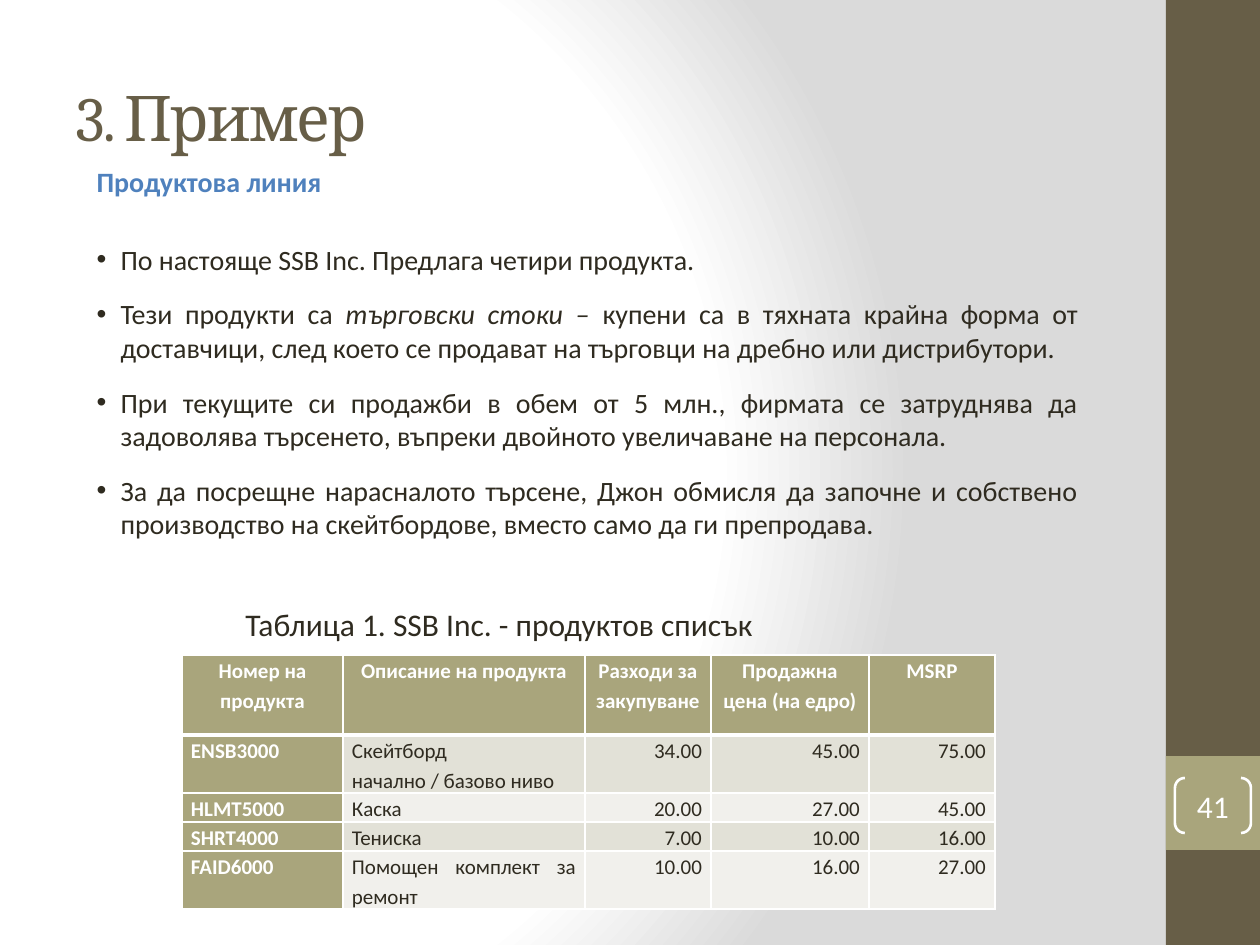
from dataclasses import dataclass

from pptx import Presentation
from pptx import util as u
from pptx.dml.color import RGBColor
from pptx.enum import shapes, text
from pptx.oxml import parse_xml
from pptx.oxml.ns import nsdecls, qn

PX = u.Inches(1) // 126  # one px in EMU


@dataclass(frozen=True)
class Theme:
    heading_font: str = "Cambria"
    body_font: str = "Calibri"
    brown: str = "675E47"
    olive: str = "A9A57C"
    ink: str = "2F2B20"
    accent: str = "4F81BD"
    white: str = "FFFFFF"
    shade: str = "DADADA"
    bands: tuple = ("E2E1D7", "F1F0EC")
    title_size: int = 36
    caption_size: int = 18
    body_size: int = 16
    table_size: int = 12


THEME = Theme()
ALIGN = text.PP_ALIGN

# Each bullet is a list of (text, italic) spans
BULLETS = [
    [("По настояще SSB Inc. Предлага четири продукта.", False)],
    [("Тези продукти са ", False), ("търговски стоки – ", True),
     ("купени са в тяхната крайна форма от доставчици, след което се "
      "продават на търговци на дребно или дистрибутори.", False)],
    [("При текущите си продажби в обем от 5 млн., фирмата се затруднява да "
      "задоволява търсенето, въпреки двойното увеличаване на персонала.", False)],
    [("За да посрещне нарасналото търсене, Джон обмисля да започне и собствено "
      "производство на скейтбордове, вместо само да ги препродава.", False)],
]
PRODUCTS = [
    ["Номер на продукта", "Описание на продукта", "Разходи за закупуване",
     "Продажна цена (на едро)", "MSRP"],
    ["ENSB3000", "Скейтборд\nначално / базово ниво", "34.00", "45.00", "75.00"],
    ["HLMT5000", "Каска", "20.00", "27.00", "45.00"],
    ["SHRT4000", "Тениска", "7.00", "10.00", "16.00"],
    ["FAID6000", "Помощен комплект за ремонт", "10.00", "16.00", "27.00"],
]
COLUMN_WIDTHS = [161, 242, 126, 158, 126]
ROW_HEIGHTS = [80, 58, 29, 29, 58]


def rgb(value):
    return RGBColor.from_string(value)


def px(*lengths):
    return [length * PX for length in lengths]


def assign(target, values):
    for name, value in values.items():
        setattr(target, name, value)


def place(shape, left, top, width, height):
    assign(shape, dict(zip(("left", "top", "width", "height"),
                           px(left, top, width, height))))


def add_span(para, words, size, color, **font):
    span = para.add_run()
    span.text = words
    assign(span.font, {"name": THEME.body_font, "size": u.Pt(size), **font})
    span.font.color.rgb = rgb(color)
    return span


def set_bullet(para, char=None, indent=0):
    properties = para._p.get_or_add_pPr()
    properties.set("marL", str(indent * PX))
    properties.set("indent", str(-indent * PX))
    mark = f'buChar {nsdecls("a")} char="{char}"' if char else f'buNone {nsdecls("a")}'
    properties.append(parse_xml(f"<a:{mark}/>"))


def set_background(page):
    page.background.fill.gradient()
    old = page.element.find(".//" + qn("a:gradFill"))
    stops = "".join(
        f'<a:gs pos="{percent * 1000}"><a:srgbClr val="{color}"/></a:gs>'
        for percent, color in ((0, THEME.white), (75, THEME.white), (100, THEME.shade)))
    old.getparent().replace(old, parse_xml(
        f'<a:gradFill {nsdecls("a")} rotWithShape="1"><a:gsLst>{stops}</a:gsLst>'
        '<a:path path="circle"><a:fillToRect l="20000" t="50000" r="100000" '
        'b="50000"/></a:path></a:gradFill>'))


def add_panel(page, bounds, color):
    panel = page.shapes.add_shape(shapes.MSO_SHAPE.RECTANGLE, *px(*bounds))
    panel.shadow.inherit = False
    panel.fill.solid()
    panel.fill.fore_color.rgb = rgb(color)
    panel.line.fill.background()


def add_page_number(page, number):
    bracket = page.shapes.add_shape(shapes.MSO_SHAPE.DOUBLE_BRACKET,
                                    *px(1175, 778, 76, 55))
    bracket.shadow.inherit = False
    bracket.adjustments[0] = 0.18
    bracket.fill.background()
    bracket.line.color.rgb = rgb(THEME.white)
    bracket.line.width = u.Pt(1.5)
    frame = bracket.text_frame
    assign(frame, {"margin_left": 0, "margin_right": 0, "margin_top": 0,
                   "margin_bottom": 0, "vertical_anchor": text.MSO_ANCHOR.MIDDLE})
    para = frame.paragraphs[0]
    para.alignment = ALIGN.CENTER
    add_span(para, number, THEME.caption_size, THEME.white)


def fill_title(title, words):
    place(title, 63, 38, 1050, 157)
    assign(title.text_frame, {"vertical_anchor": text.MSO_ANCHOR.MIDDLE,
                              "auto_size": text.MSO_AUTO_SIZE.NONE})
    para = title.text_frame.paragraphs[0]
    para.alignment = ALIGN.LEFT
    span = add_span(para, words, THEME.title_size, THEME.brown,
                    name=THEME.heading_font)
    span.font._element.set("spc", "-100")


def fill_body(body, heading, bullets):
    place(body, 84, 145, 1007, 480)
    frame = body.text_frame
    assign(frame, {"vertical_anchor": text.MSO_ANCHOR.TOP, "margin_top": 20 * PX,
                   "margin_bottom": 0, "auto_size": text.MSO_AUTO_SIZE.NONE})
    para = frame.paragraphs[0]
    set_bullet(para)
    assign(para, {"alignment": ALIGN.JUSTIFY, "space_before": u.Pt(0)})
    add_span(para, heading, THEME.body_size, THEME.accent, bold=True)
    for index, spans in enumerate(bullets):
        para = frame.add_paragraph()
        set_bullet(para, "•", 24)
        assign(para, {"alignment": ALIGN.JUSTIFY, "space_after": u.Pt(6),
                      "space_before": u.Pt(6 if index else 25)})
        for words, italic in spans:
            add_span(para, words, THEME.body_size, THEME.ink, italic=italic)


def add_caption(page, words):
    box = page.shapes.add_textbox(*px(233, 599, 774, 50))
    box.text_frame.word_wrap = True
    add_span(box.text_frame.paragraphs[0], words, THEME.caption_size, THEME.ink)


def set_borders(cell, bottom):
    properties = cell._tc.get_or_add_tcPr()
    for side, points in (("L", 1), ("R", 1), ("T", 1), ("B", bottom)):
        properties.append(parse_xml(
            f'<a:ln{side} {nsdecls("a")} w="{u.Pt(points)}"><a:solidFill>'
            f'<a:srgbClr val="{THEME.white}"/></a:solidFill></a:ln{side}>'))


def fill_cell(cell, words, row, column):
    header = row == 0
    strong = header or column == 0
    set_borders(cell, 3 if header else 1)
    cell.fill.solid()
    cell.fill.fore_color.rgb = rgb(THEME.olive if strong else THEME.bands[(row - 1) % 2])
    assign(cell, {"margin_left": 9 * PX, "margin_right": 9 * PX,
                  "margin_top": 0, "margin_bottom": 0})
    frame = cell.text_frame
    for index, line in enumerate(words.split("\n")):
        para = frame.add_paragraph() if index else frame.paragraphs[0]
        body_align = ALIGN.JUSTIFY if column < 2 else ALIGN.RIGHT
        assign(para, {"alignment": ALIGN.CENTER if header else body_align,
                      "line_spacing": 1.15})
        add_span(para, line, THEME.table_size,
                 THEME.white if strong else THEME.ink, bold=strong)


def add_product_table(page, rows):
    table = page.shapes.add_table(
        len(rows), len(COLUMN_WIDTHS),
        *px(182, 655, sum(COLUMN_WIDTHS), sum(ROW_HEIGHTS))).table
    for column, width in zip(table.columns, COLUMN_WIDTHS):
        column.width = width * PX
    for row, height in zip(table.rows, ROW_HEIGHTS):
        row.height = height * PX
    for r, row in enumerate(rows):
        for c, words in enumerate(row):
            fill_cell(table.cell(r, c), words, r, c)


def main():
    deck = Presentation()
    deck.slide_width, deck.slide_height = px(1260, 945)
    page = deck.slides.add_slide(deck.slide_layouts[1])
    set_background(page)

    # Side band and page number
    add_panel(page, (1166, 0, 94, 945), THEME.brown)
    add_panel(page, (1166, 756, 94, 94), THEME.olive)
    add_page_number(page, "41")

    # Title and list
    fill_title(page.shapes.title, "3. Пример")
    fill_body(page.placeholders[1], "Продуктова линия", BULLETS)

    # Product table
    add_caption(page, "Таблица 1. SSB Inc. - продуктов списък")
    add_product_table(page, PRODUCTS)
    deck.save("out.pptx")


if __name__ == "__main__":
    main()
